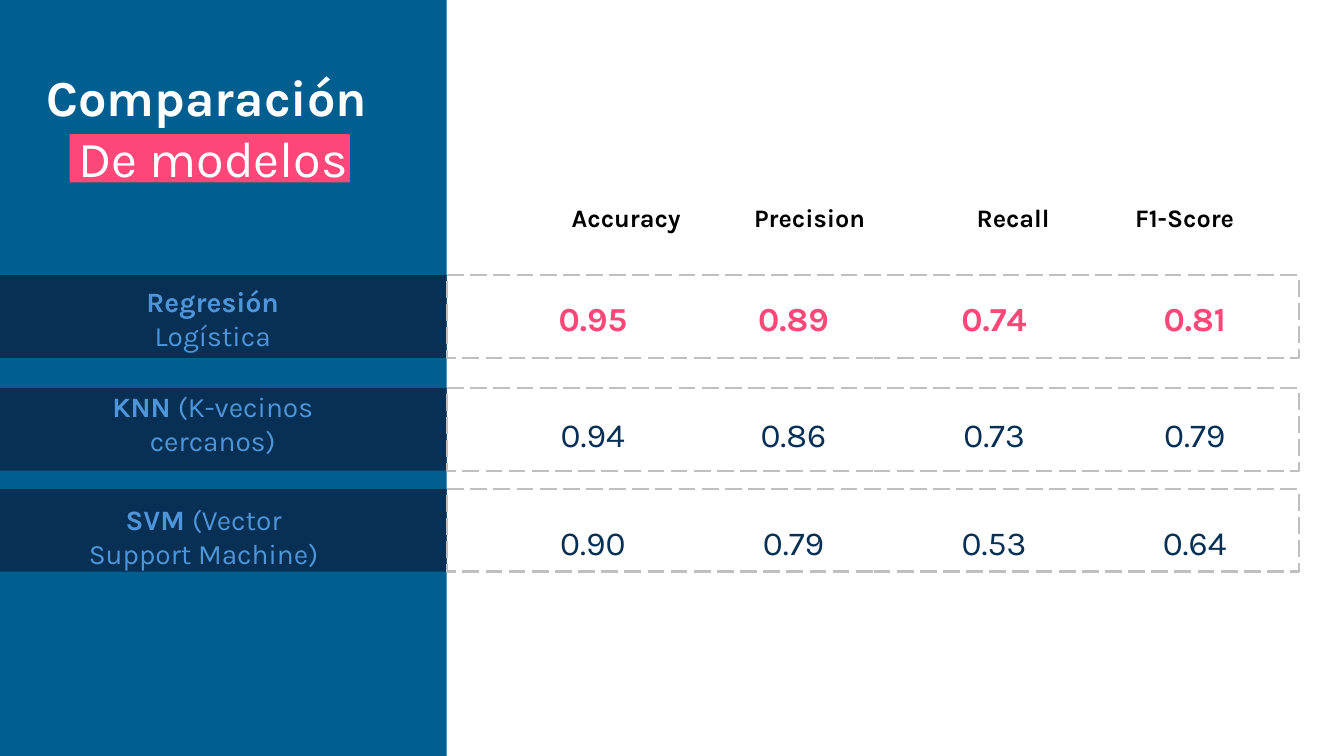
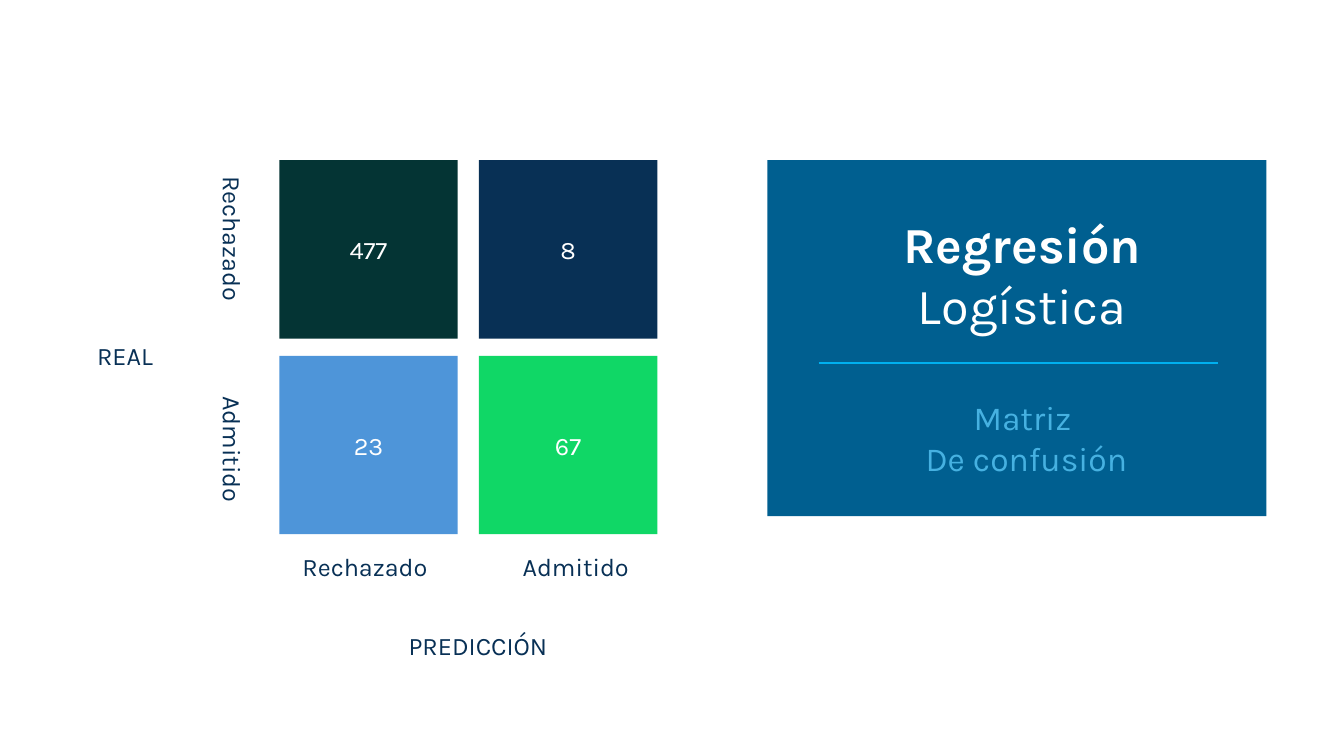
"""Build two slides: a comparison of models and a confusion matrix."""
from dataclasses import dataclass

from lxml.etree import SubElement
from pptx import Presentation
from pptx.dml.color import RGBColor
from pptx.enum.dml import MSO_LINE
from pptx.enum.shapes import MSO_CONNECTOR, MSO_SHAPE
from pptx.enum.text import MSO_ANCHOR as ANCHOR, MSO_AUTO_SIZE, PP_ALIGN as ALIGN
from pptx.oxml.ns import qn
from pptx.util import Inches, Pt


@dataclass(frozen=True)
class Theme:
    """Colours, font and type sizes shared by the slides."""
    font: str = "Karla"
    white: str = "FFFFFF"
    black: str = "000000"
    blue: str = "005F90"
    navy: str = "083055"
    sky: str = "4E95D9"
    cyan: str = "46B1E1"
    rule: str = "00B0F0"
    pink: str = "FD4778"
    pine: str = "043434"
    green: str = "10D766"
    dash: str = "BFBFBF"
    title: int = 36
    large: int = 24
    label: int = 20
    small: int = 18
    stroke: float = 1.5


@dataclass(frozen=True)
class Grid:
    """Evenly spaced points, counted by column and row."""
    left: float
    top: float
    dx: float
    dy: float = 0

    def at(self, col, row=0):
        """Return the point at a column and row."""
        return self.left + col * self.dx, self.top + row * self.dy


@dataclass(frozen=True)
class Model:
    """One row of the comparison, with its vertical positions."""
    label: list
    scores: list
    top: float
    label_x: float
    label_y: float
    score_y: float
    best: bool = False


T = Theme()
WIDTH, HEIGHT = 13.33, 7.5
PANEL_W = 4.43
ROW_W, ROW_H = 8.45, 0.82
TILE = 1.77
LABEL_H = 0.64
TILES = Grid(2.77, 1.59, 1.98, 1.94)
PREDICTED = Grid(3.62, 5.62, 2.09)
ACTUAL = Grid(2.31, 2.37, 0, 2.09)
SCORES = Grid(5.88, 0, 1.99)
METRICS = ["Accuracy", "Precision", "Recall", "F1-Score"]
CLASSES = ["Rechazado", "Admitido"]
MODELS = [
    Model([[("Regresión", True)], [("Logística", False)]],
          ["0.95", "0.89", "0.74", "0.81"], 2.73, 2.11, 3.16, 3.16, True),
    Model([[("KNN ", True), ("(K-vecinos cercanos)", False)]],
          ["0.94", "0.86", "0.73", "0.79"], 3.85, 2.11, 4.2, 4.31),
    Model([[("SVM ", True), ("(Vector Support Machine)", False)]],
          ["0.90", "0.79", "0.53", "0.64"], 4.85, 2.02, 5.32, 5.38),
]
MATRIX = [[("477", T.pine), ("8", T.navy)], [("23", T.sky), ("67", T.green)]]


def rgb(value):
    """Turn a hex string into a colour."""
    return RGBColor.from_string(value)


def box(x, y, w, h):
    """Return left, top, width and height in slide units."""
    return [Inches(v) for v in (x, y, w, h)]


def write(tf, lines, size, color, align=ALIGN.CENTER):
    """Fill a text frame with lines made of (text, bold) runs."""
    tf.word_wrap = True
    tf.auto_size = MSO_AUTO_SIZE.NONE
    tf.vertical_anchor = ANCHOR.MIDDLE
    for i, line in enumerate(lines):
        p = tf.paragraphs[0] if i == 0 else tf.add_paragraph()
        p.alignment = align
        p.font.name, p.font.size = T.font, Pt(size)
        p.font.color.rgb = rgb(color)
        for text, bold in line:
            r = p.add_run()
            r.text, r.font.bold = text, bold


def add_rect(s, x, y, w, h, fill=None):
    """Add a filled rectangle, or a dashed frame when there is no fill."""
    sp = s.shapes.add_shape(MSO_SHAPE.RECTANGLE, *box(x, y, w, h))
    sp.shadow.inherit = False
    if fill:
        sp.fill.solid()
        sp.fill.fore_color.rgb = rgb(fill)
        sp.line.fill.background()
    else:
        sp.fill.background()
        sp.line.color.rgb = rgb(T.dash)
        sp.line.width = Pt(T.stroke)
        sp.line.dash_style = MSO_LINE.LONG_DASH
    return sp


def add_text(s, center, w, h, lines, size=T.small, color=T.navy, rotation=0):
    """Add a text box around a centre point."""
    x, y = center
    sp = s.shapes.add_textbox(*box(x - w / 2, y - h / 2, w, h))
    sp.rotation = rotation
    write(sp.text_frame, lines, size, color)


def add_rule(s, x1, x2, y):
    """Add a thin horizontal line."""
    line = s.shapes.add_connector(
        MSO_CONNECTOR.STRAIGHT, Inches(x1), Inches(y), Inches(x2), Inches(y))
    line.line.color.rgb = rgb(T.rule)
    line.line.width = Pt(T.stroke)
    SubElement(line.element.spPr, qn("a:effectLst"))


def add_header(s, x, y, col_w, h, names):
    """Add a one-row table of column names."""
    frame = s.shapes.add_table(1, len(names), *box(x, y, col_w * len(names), h))
    table = frame.table
    table.first_row = table.horz_banding = False
    for cell, name in zip(table.rows[0].cells, names):
        cell.fill.solid()
        cell.fill.fore_color.rgb = rgb(T.white)
        cell.vertical_anchor = ANCHOR.MIDDLE
        p = cell.text_frame.paragraphs[0]
        p.alignment = ALIGN.RIGHT
        p.font.name, p.font.size, p.font.bold = T.font, Pt(T.small), True
        p.font.color.rgb = rgb(T.black)
        p.add_run().text = name


def set_title(s, x, y, w, h, strong, light):
    """Place the two-line title in front of what is drawn so far."""
    sp = s.shapes.title
    sp.left, sp.top, sp.width, sp.height = box(x, y, w, h)
    write(sp.text_frame, [[(strong, True)], [(light, False)]], T.title, T.white)
    sp.element.getparent().append(sp.element)


def add_model(s, model):
    """Add the label band, frame and scores of one model."""
    add_rect(s, 0, model.top, PANEL_W, ROW_H, T.navy)
    add_rect(s, PANEL_W, model.top, ROW_W, ROW_H)
    add_text(s, (model.label_x, model.label_y), 2.57, 0.83, model.label,
             T.label, T.sky)
    color = T.pink if model.best else T.navy
    for col, score in enumerate(model.scores):
        add_text(s, (SCORES.at(col)[0], model.score_y), 1.2, 0.5,
                 [[(score, model.best)]], T.large, color)


def build_comparison(s):
    """Build the comparison of models."""
    add_rect(s, 0, 0, PANEL_W, HEIGHT, T.blue)
    add_rect(s, 0.69, 1.33, 2.78, 0.48, T.pink)
    set_title(s, 0.33, 0.55, 3.57, 1.42, "Comparación ", "De modelos")
    add_header(s, 5.02, 1.97, 1.83, 0.4, METRICS)
    for model in MODELS:
        add_model(s, model)


def build_matrix(s):
    """Build the confusion matrix and its title card."""
    add_rect(s, 7.61, 1.59, 4.95, 3.53, T.blue)
    set_title(s, 8.54, 2.07, 3.2, 1.29, "Regresión", "Logística")
    add_rule(s, 8.12, 12.08, 3.6)
    add_text(s, (10.18, 4.34), 2.4, 0.78,
             [[("Matriz ", False)], [("De confusión", False)]], T.large, T.cyan)
    for row, tiles in enumerate(MATRIX):
        for col, (count, fill) in enumerate(tiles):
            sp = add_rect(s, *TILES.at(col, row), TILE, TILE, fill)
            write(sp.text_frame, [[(count, False)]], T.small, T.white)
    for i, name in enumerate(CLASSES):
        add_text(s, PREDICTED.at(i), TILE, LABEL_H, [[(name, False)]])
        add_text(s, ACTUAL.at(0, i), TILE, LABEL_H, [[(name, False)]], rotation=90)
    add_text(s, (1.24, 3.53), 1.23, LABEL_H, [[("REAL", False)]])
    add_text(s, (4.74, 6.4), TILE, LABEL_H, [[("PREDICCIÓN", False)]])


def main():
    """Build and save the presentation."""
    prs = Presentation()
    prs.slide_width, prs.slide_height = Inches(WIDTH), Inches(HEIGHT)
    for build in (build_comparison, build_matrix):
        build(prs.slides.add_slide(prs.slide_layouts[5]))
    prs.save("out.pptx")


if __name__ == "__main__":
    main()
